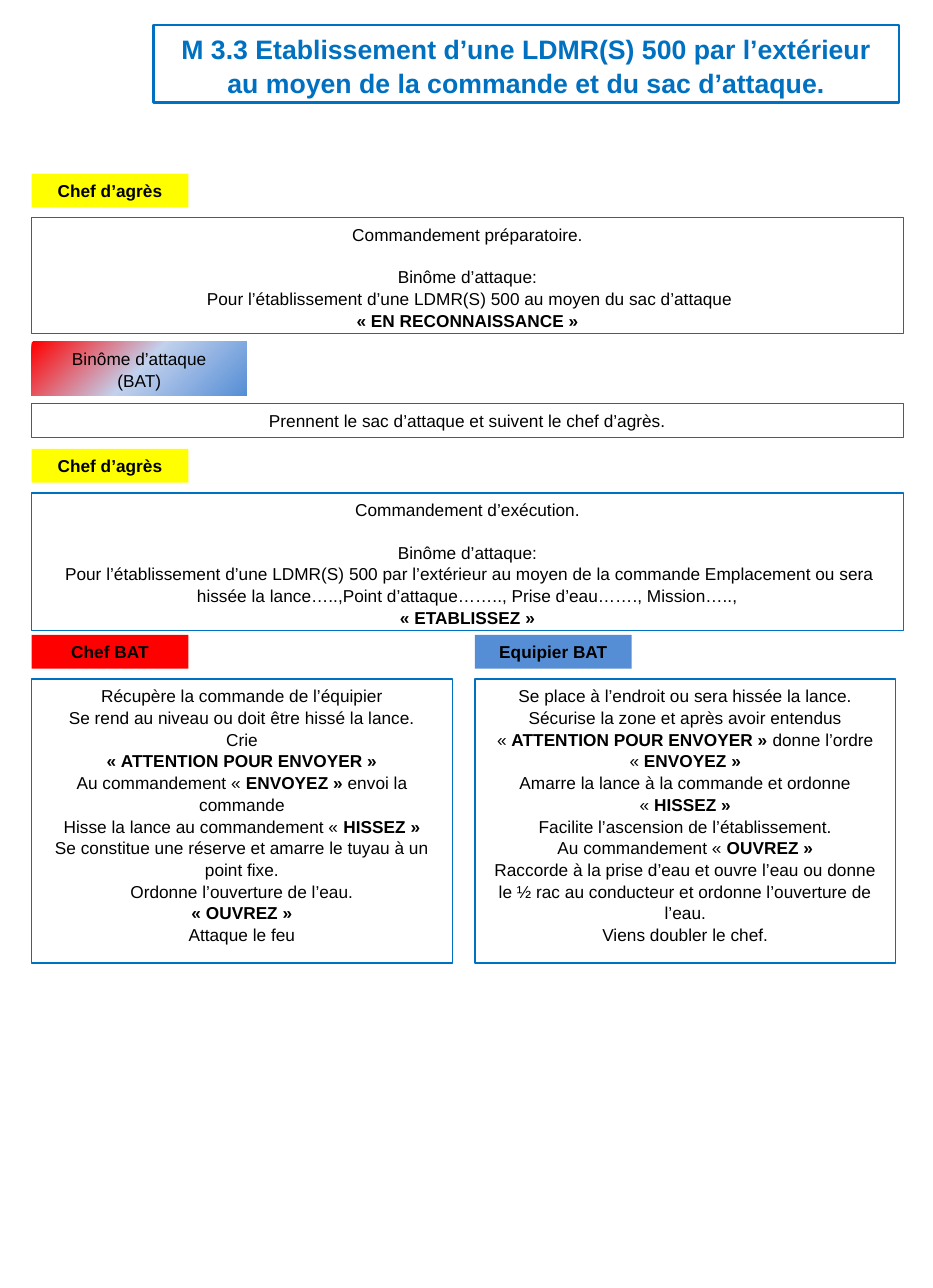
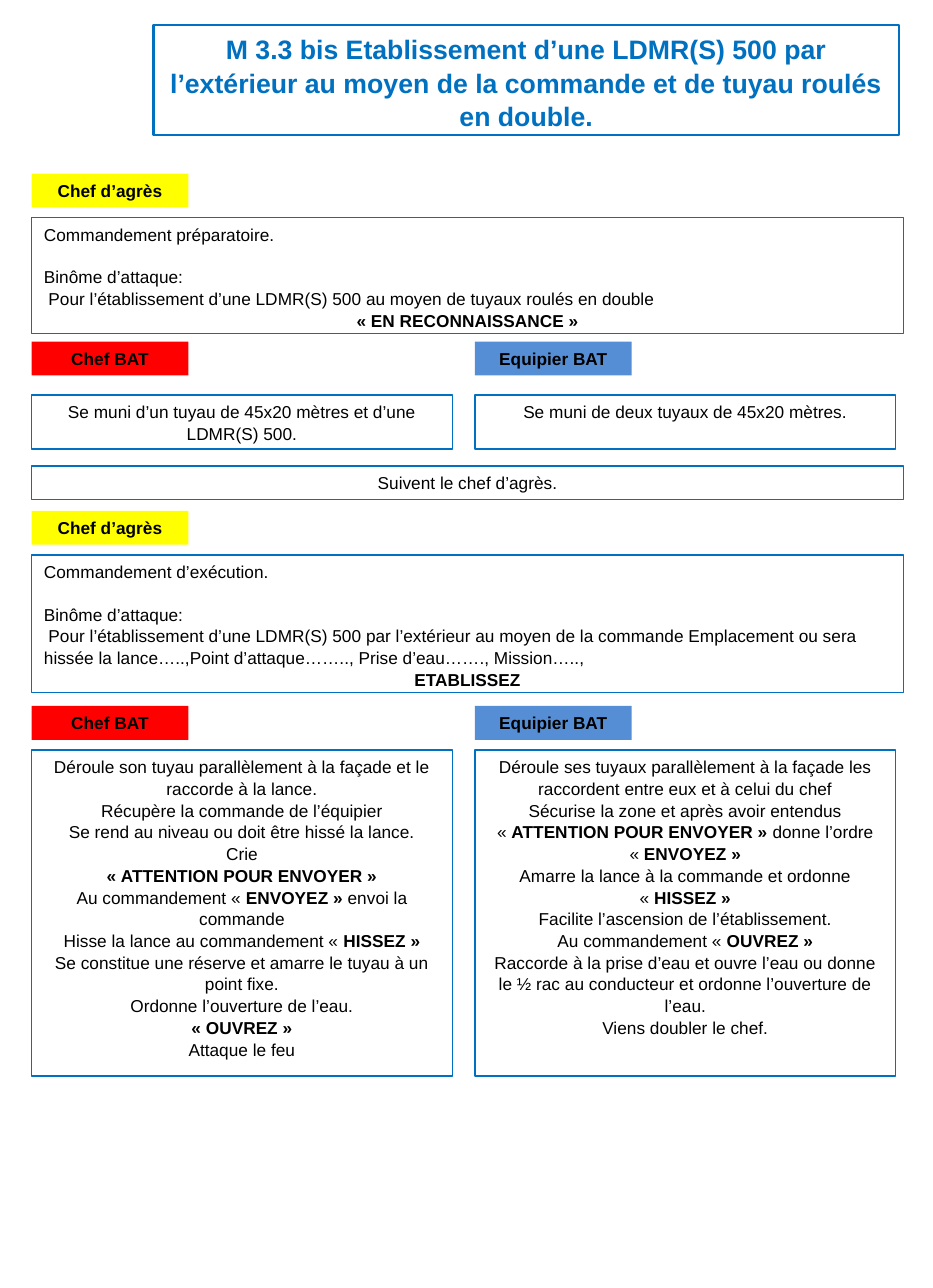
from copy import deepcopy

from pptx import Presentation
from pptx.dml.color import RGBColor
from pptx.enum.shapes import MSO_SHAPE
from pptx.enum.text import MSO_ANCHOR, MSO_AUTO_SIZE, PP_ALIGN
from pptx.oxml.ns import qn
from pptx.util import Inches, Pt

BLUE = RGBColor(0x00, 0x70, 0xC0)
BLACK = RGBColor(0x00, 0x00, 0x00)
YELLOW = RGBColor(0xFF, 0xFF, 0x00)
RED = RGBColor(0xFF, 0x00, 0x00)
SKY = RGBColor(0x55, 0x8E, 0xD5)
PALE = RGBColor(0xC2, 0xD1, 0xED)

FONT = "Arial"
NO_BREAK_SPACE = chr(160)
LINE_SPACING = 1.05
LEFT, RIGHT = 0.28, 4.21
FULL_WIDTH, COLUMN_WIDTH, LABEL_WIDTH = 7.73, 3.73, 1.39
LABEL_HEIGHT = 0.3
LABEL_STEP = 0.39


def write_text(shape, texts, size, color, bold=False, align=PP_ALIGN.CENTER, inset=0.05):
    frame = shape.text_frame
    frame.word_wrap = True
    frame.auto_size = MSO_AUTO_SIZE.NONE
    frame.vertical_anchor = MSO_ANCHOR.TOP
    frame.margin_left = frame.margin_right = Inches(inset + 0.06)
    frame.margin_top = frame.margin_bottom = Inches(inset)
    for index, text in enumerate(texts):
        paragraph = frame.paragraphs[0] if index == 0 else frame.add_paragraph()
        all_bold = bold or (text.startswith("*") and text.endswith("*"))
        paragraph.alignment = PP_ALIGN.CENTER if all_bold else align
        paragraph.line_spacing = LINE_SPACING
        if text == "Binôme d’attaque:":
            paragraph.space_before = Pt(13.2)
        if text.startswith("Pour "):
            paragraph._p.get_or_add_pPr().set("indent", str(Inches(0.04)))
        paragraph.font.name = FONT
        paragraph.font.size = Pt(size)
        paragraph.font.color.rgb = color
        paragraph.font.bold = all_bold
        text = text.replace("« ", "«" + NO_BREAK_SPACE).replace(" »", NO_BREAK_SPACE + "»")
        for part, words in enumerate(text.split("*")):
            if words:
                run = paragraph.add_run()
                run.text = words
                if part % 2 and not all_bold:
                    run.font.bold = True


def add_box(slide, left, top, width, height, texts, fill=None, bold=False,
            align=PP_ALIGN.CENTER, line_width=1):
    shape = slide.shapes.add_shape(
        MSO_SHAPE.RECTANGLE, Inches(left), Inches(top), Inches(width), Inches(height))
    shape.shadow.inherit = False
    if fill is None:
        shape.fill.background()
        shape.line.color.rgb = BLUE
        shape.line.width = Pt(line_width)
    else:
        shape.fill.solid()
        shape.fill.fore_color.rgb = fill
        shape.line.fill.background()
    write_text(shape, texts, 11, BLACK, bold, align)
    return shape


CHIEF_TASKS = [
    "Récupère la commande de l’équipier",
    "Se rend au niveau ou doit être hissé la lance.",
    "Crie",
    "*« ATTENTION POUR ENVOYER »*",
    "Au commandement « *ENVOYEZ »* envoi la commande",
    "Hisse la lance au commandement « *HISSEZ »*",
    "Se constitue une réserve et amarre le tuyau à un point fixe.",
    "Ordonne l’ouverture de l’eau.",
    "*« OUVREZ »*",
    "Attaque le feu",
]
MATE_TASKS = [
    "Sécurise la zone et après avoir entendus « *ATTENTION POUR ENVOYER »* "
    "donne l’ordre « *ENVOYEZ »*",
    "Amarre la lance à la commande et ordonne « *HISSEZ »*",
    "Facilite l’ascension de l’établissement.",
    "Au commandement « *OUVREZ »*",
    "Raccorde à la prise d’eau et ouvre l’eau ou donne le ½ rac au conducteur "
    "et ordonne l’ouverture de l’eau.",
    "Viens doubler le chef.",
]

PAGES = [
    {
        "title": "M 3.3 Etablissement d’une LDMR(S) 500 par l’extérieur "
                 "au moyen de la commande et du sac d’attaque.",
        "title_height": 0.69,
        "align": PP_ALIGN.CENTER,
        "means": "du sac d’attaque",
        "execute": "*« ETABLISSEZ »*",
        "follow": (3.58, "Prennent le sac d’attaque et suivent le chef d’agrès."),
        "execution_top": 3.98,
        "pairs": [
            (5.63, LABEL_STEP, 2.52, CHIEF_TASKS,
             ["Se place à l’endroit ou sera hissée la lance."] + MATE_TASKS),
        ],
    },
    {
        "title": "M 3.3 bis Etablissement d’une LDMR(S) 500 par l’extérieur "
                 "au moyen de la commande et de tuyau roulés en double.",
        "title_height": 0.98,
        "align": PP_ALIGN.LEFT,
        "means": "de tuyaux roulés en double",
        "execute": "*ETABLISSEZ*",
        "follow": (4.13, "Suivent le chef d’agrès."),
        "execution_top": 4.53,
        "pairs": [
            (3.03, 0.47, 0.48,
             ["Se muni d’un tuyau de 45x20 mètres et d’une LDMR(S) 500."],
             ["Se muni de deux tuyaux de 45x20 mètres."]),
            (6.26, LABEL_STEP, 2.89,
             ["Déroule son tuyau parallèlement à la façade et le raccorde à la lance."]
             + CHIEF_TASKS,
             ["Déroule ses tuyaux parallèlement à la façade les raccordent entre eux "
              "et à celui du chef"] + MATE_TASKS),
        ],
    },
]

presentation = Presentation()
presentation.slide_width = Inches(8.27)
presentation.slide_height = Inches(11.42)
slides = []

for page in PAGES:
    slide = presentation.slides.add_slide(presentation.slide_layouts[5])
    slides.append(slide)
    title = slide.shapes.title
    title.left, title.top = Inches(1.36), Inches(0.22)
    title.width, title.height = Inches(6.61), Inches(page["title_height"])
    title.line.color.rgb = BLUE
    title.line.width = Pt(1.5)
    write_text(title, [page["title"]], 17, BLUE, bold=True, inset=0.06)

    preparation = [
        "Commandement préparatoire.",
        "Binôme d’attaque:",
        "Pour l’établissement d’une LDMR(S) 500 au moyen " + page["means"],
        "*« EN RECONNAISSANCE »*",
    ]
    execution = [
        "Commandement d’exécution.",
        "Binôme d’attaque:",
        "Pour l’établissement d’une LDMR(S) 500 par l’extérieur au moyen de la commande "
        "Emplacement ou sera hissée la lance…..,Point d’attaque…….., Prise d’eau……., "
        "Mission…..,",
        page["execute"],
    ]
    for top, height, line_width, order in (
            (1.54, 1.03, 0.75, preparation),
            (page["execution_top"], 1.22, 1, execution)):
        add_box(slide, LEFT, top, LABEL_WIDTH, LABEL_HEIGHT, ["Chef d’agrès"], YELLOW, True)
        add_box(slide, LEFT, top + LABEL_STEP, FULL_WIDTH, height, order,
                align=page["align"], line_width=line_width)

    follow_top, follow_text = page["follow"]
    add_box(slide, LEFT, follow_top, FULL_WIDTH, 0.3, [follow_text])

    for top, step, height, chief_tasks, mate_tasks in page["pairs"]:
        for left, name, color, tasks in (
                (LEFT, "Chef BAT", RED, chief_tasks),
                (RIGHT, "Equipier BAT", SKY, mate_tasks)):
            add_box(slide, left, top, LABEL_WIDTH, LABEL_HEIGHT, [name], color, True)
            add_box(slide, left, top + step, COLUMN_WIDTH, height, tasks)

team_label = add_box(slides[0], LEFT, 3.03, 1.91, 0.48, ["Binôme d’attaque", "(BAT)"], PALE)
team_label.fill.gradient()
team_label.fill.gradient_angle = 315
stop_list = team_label.element.find(".//" + qn("a:gsLst"))
stop_list.insert(1, deepcopy(stop_list[0]))
for stop, color, position in zip(team_label.fill.gradient_stops, (RED, PALE, SKY), (0, 0.5, 1)):
    stop.color.rgb = color
    stop.position = position

presentation.save("out.pptx")
